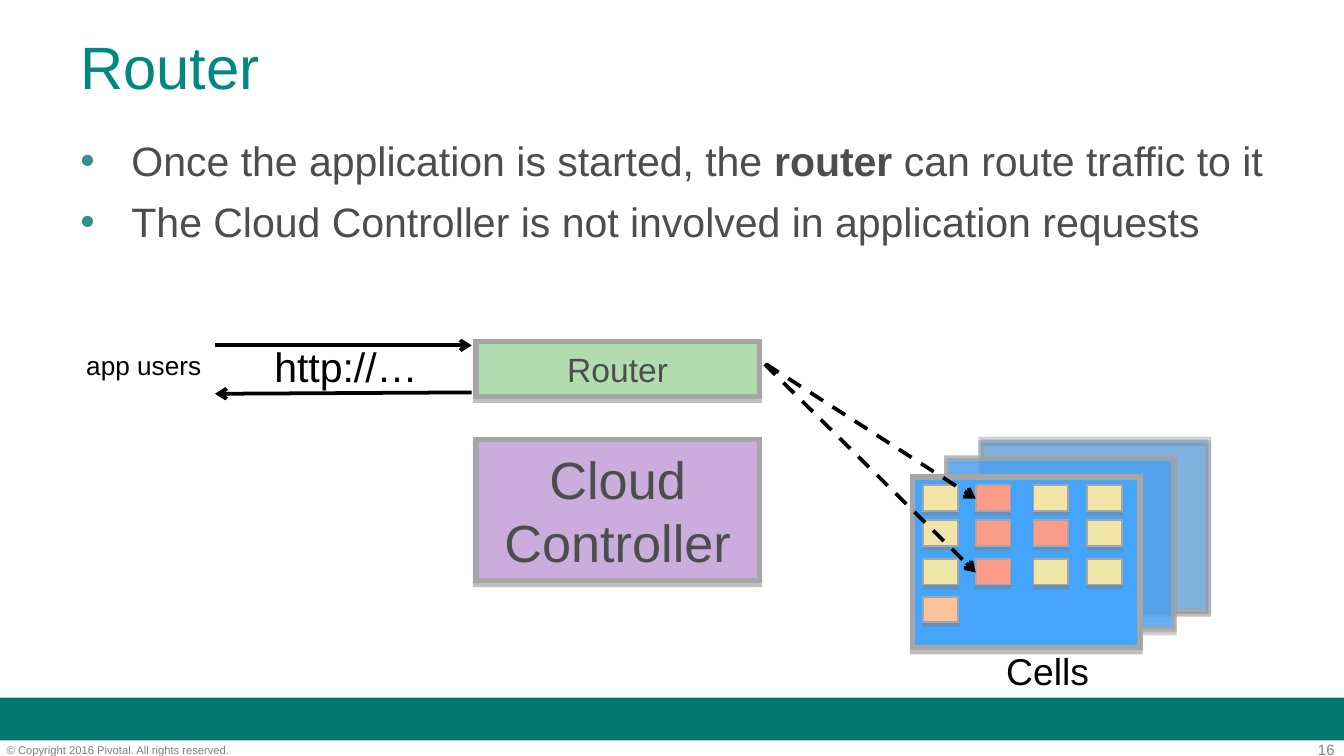
from pptx import Presentation
from pptx.dml.color import RGBColor as RGB
from pptx.enum.dml import MSO_LINE as DASH
from pptx.enum.shapes import MSO_CONNECTOR as LINK, MSO_SHAPE as SHAPE
from pptx.enum.text import MSO_ANCHOR as ANCHOR, PP_ALIGN as ALIGN
from pptx.oxml.ns import qn
from pptx.util import Inches, Pt
from lxml.etree import SubElement as sub

TEAL, GREEN, DOT = RGB(0, 0x88, 0x81), RGB(0, 0x78, 0x6E), RGB(0x33, 0x92, 0x8A)
BLACK, WHITE = RGB(0, 0, 0), RGB(0xFF, 0xFF, 0xFF)
DARK, MID, EDGE = RGB(0x4D, 0x4D, 0x4D), RGB(0x7F, 0x7F, 0x7F), RGB(0xA6, 0xA6, 0xA6)
MINT, LILAC, BLUE = RGB(0xB1, 0xDC, 0xB0), RGB(0xCA, 0xAC, 0xDD), RGB(0x45, 0xA4, 0xFC)
CREAM, CORAL, PEACH = RGB(0xF1, 0xE5, 0xA7), RGB(0xFB, 0x9B, 0x89), RGB(0xF8, 0xC3, 0x9A)

# Grid: 100 columns by 56.25 rows of a tenth of an inch (16:9)
UNIT = Inches(0.1)
COLS, ROWS = 100, 56.25

deck = Presentation()
deck.slide_width, deck.slide_height = int(COLS * UNIT), int(ROWS * UNIT)
slide = deck.slides.add_slide(deck.slide_layouts[6])
slide.background.fill.solid()
slide.background.fill.fore_color.rgb = WHITE
shapes = slide.shapes


def box(col, row, wide, high, fill, edge=3, alpha=100):
    """Rectangle with a grey edge and a hard shadow below; edge 0 means plain."""
    rect = shapes.add_shape(SHAPE.RECTANGLE, *[int(n * UNIT) for n in (col, row, wide, high)])
    rect.shadow.inherit = False
    rect.fill.solid()
    rect.fill.fore_color.rgb = fill
    if not edge:
        rect.line.fill.background()
        return rect
    rect.line.color.rgb = EDGE
    rect.line.width = Pt(edge)
    props = rect._element.spPr
    sub(props.find(qn("a:ln")), qn("a:miter"), lim="800000")
    if alpha < 100:
        for tone in list(props.iter(qn("a:srgbClr"))):
            sub(tone, qn("a:alpha"), val=str(alpha * 1000))
    shade = sub(props.find(qn("a:effectLst")), qn("a:outerShdw"), blurRad="0",
                dist=str(Pt(2)), dir="5400000", algn="ctr", rotWithShape="0")
    tone = sub(shade, qn("a:srgbClr"), val="808080")
    sub(tone, qn("a:alpha"), val="50000")
    return rect


def write(place, text, size, color, align=ALIGN.CENTER, pad=0.06, wrap=True):
    """Put text in a shape, or in a new text box when place is a grid area."""
    if isinstance(place, tuple):
        place = shapes.add_textbox(*[int(n * UNIT) for n in place])
    frame = place.text_frame
    frame.word_wrap = wrap
    frame.vertical_anchor = ANCHOR.MIDDLE
    frame.margin_left = frame.margin_right = Inches(pad)
    frame.margin_top = frame.margin_bottom = Inches(min(pad, 0.06))
    frame.text = text
    for para in frame.paragraphs:
        para.alignment = align
        for run in para.runs:
            run.font.name, run.font.size = "Arial", Pt(size)
            run.font.color.rgb = color
    return frame


# Footer
box(0, 51.9, COLS, 3.2, GREEN, edge=0)
write((93.5, 55.1, 5.8, 1.3), "16", 8, MID, ALIGN.RIGHT, 0)
write((0.5, 55.3, 24.9, 1), "© Copyright 2016 Pivotal. All rights reserved.", 6, MID, ALIGN.LEFT, 0)

# Title
write((5, 0.2, 90, 9.4), "Router", 32, TEAL, ALIGN.LEFT, 0.1)

# Bullets
body = write((5, 9.5, 90.5, 12.9), "", 22, DARK, ALIGN.LEFT, 0.1)
body.vertical_anchor = ANCHOR.TOP
points = [
    ["Once the application is started, the ", "router", " can route traffic to it"],
    ["The Cloud Controller is not involved in application requests"],
]
for i, parts in enumerate(points):
    para = body.add_paragraph() if i else body.paragraphs[0]
    props = para._p.get_or_add_pPr()
    props.set("marL", str(Inches(0.38)))
    props.set("indent", str(-Inches(0.38)))
    sub(sub(props, qn("a:buClr")), qn("a:srgbClr"), val=str(DOT))
    sub(props, qn("a:buFont"), typeface="Arial")
    sub(props, qn("a:buChar"), char="•")
    if i:
        para.space_before = Pt(6)
    for part in parts:
        run = para.add_run()
        run.text = part
        run.font.name, run.font.size = "Arial", Pt(22)
        run.font.bold = part == "router"
        run.font.color.rgb = DARK

# Router and controller
write(box(35.4, 25.4, 21.1, 4.1, MINT), "Router", 18, DARK)
write(box(35.4, 32.7, 21.1, 10.5, LILAC), "Cloud\nController", 28, DARK)

# Stack of cells, back to front
for i, alpha in enumerate((50, 75, 100)):
    box(73 - 2.55 * i, 32.7 + 1.4 * i, 16.9, 12.7, BLUE, alpha=alpha)

# App instances in the front cell
kinds = {"y": CREAM, "r": CORAL, "o": PEACH}
for row, line in zip((36.1, 38.7, 41.6, 44.4), ("yryy", "yrry", "yryy", "o")):
    for col, kind in zip((68.7, 72.6, 76.9, 80.9), line):
        box(col, row, 2.6, 1.9, kinds[kind], edge=1)

# Labels
write((74.3, 47.7, 7.3, 4.4), "Cells", 20, BLACK, pad=0.02, wrap=False)
write((5.4, 25.5, 10.6, 3.4), "app users", 14, BLACK, wrap=False)
link = write((19.3, 25.4, 12.9, 4.3), "http://…", 22, BLACK, wrap=False)
link.paragraphs[0].line_spacing = 0.8

# Arrows: requests and replies, then dashed routes to the cells
arrows = [
    (16, 25.7, 35.1, 25.7, False),
    (35.1, 29.2, 16, 29.3, False),
    (57, 27.1, 72.6, 37.1, True),
    (56.9, 27.1, 72.6, 42.6, True),
]
for *ends, dashed in arrows:
    arrow = shapes.add_connector(LINK.STRAIGHT, *[int(n * UNIT) for n in ends])
    arrow.line.color.rgb = BLACK
    arrow.line.width = Pt(2)
    if dashed:
        arrow.line.dash_style = DASH.DASH
    sub(arrow.line._get_or_add_ln(), qn("a:tailEnd"), type="arrow")
    sub(arrow._element.spPr, qn("a:effectLst"))

deck.save("out.pptx")
